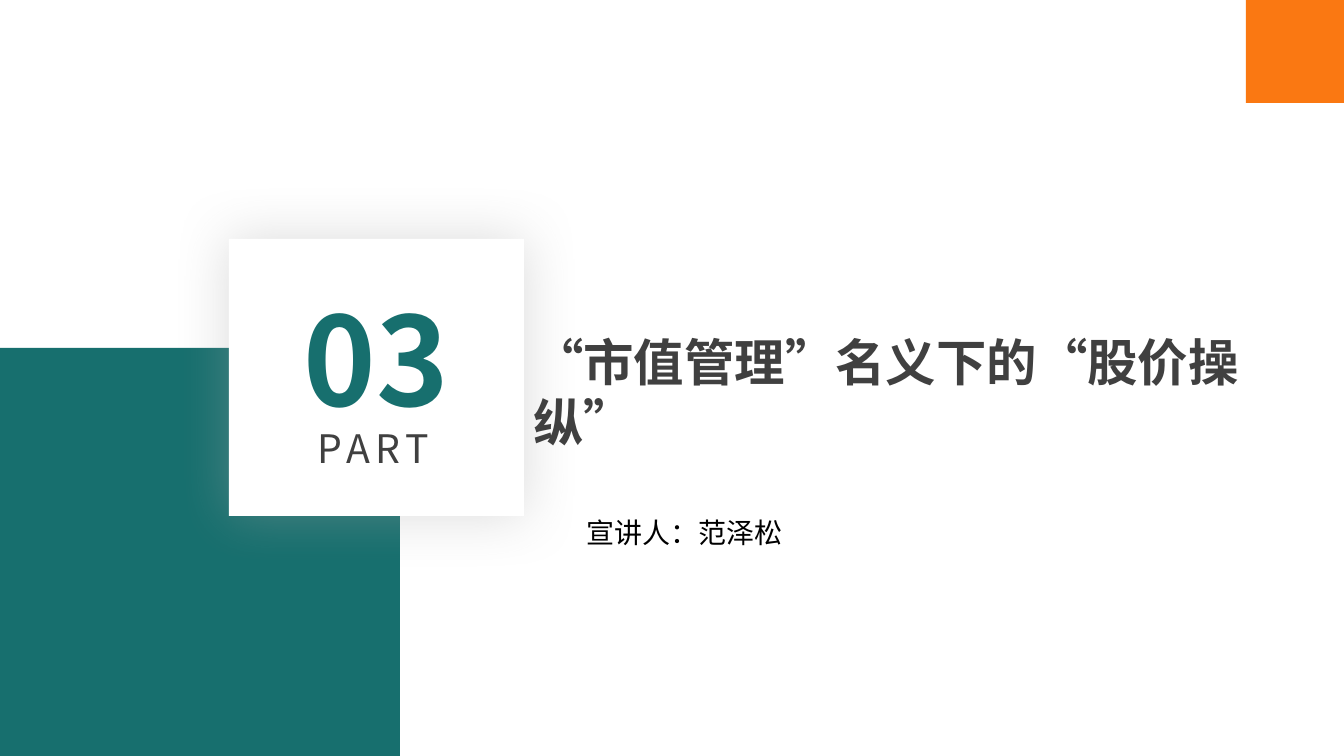
from lxml import etree
from pptx import Presentation
from pptx.dml.color import RGBColor
from pptx.enum.shapes import MSO_SHAPE
from pptx.enum.text import MSO_ANCHOR, MSO_AUTO_SIZE, PP_ALIGN
from pptx.oxml.ns import qn
from pptx.util import Emu, Pt

RECT = MSO_SHAPE.RECTANGLE
TOP = MSO_ANCHOR.TOP
FIT = MSO_AUTO_SIZE.SHAPE_TO_FIT_TEXT
LEFT = PP_ALIGN.LEFT
JUSTIFY = PP_ALIGN.JUSTIFY

WIDTH, HEIGHT = 1344, 756
SCALE = 12192000 / WIDTH
TEAL, ORANGE, WHITE = "176F6E", "FA7812", "FFFFFF"
GREY, BLACK, SHADE = "404040", "000000", "A6A6A6"
SANS, SANS_JP = "Noto Sans CJK SC", "Noto Sans CJK JP"


def px(n):
    return Emu(round(n * SCALE))


def color(value):
    return RGBColor.from_string(value)


class SlideBuilder:
    def __init__(self, s):
        self.s = s

    def rect(self, x, y, w, h, fill):
        sp = self.s.shapes.add_shape(RECT, px(x), px(y), px(w), px(h))
        sp.shadow.inherit = False
        sp.fill.solid()
        sp.fill.fore_color.rgb = color(fill)
        sp.line.fill.background()
        return sp

    def glow(self, sp, shade, blur, opacity):
        effects = sp._element.spPr.find(qn("a:effectLst"))
        shadow = etree.SubElement(effects, qn("a:outerShdw"), blurRad=str(Pt(blur)),
                                  dist="0", dir="0", algn="ctr", rotWithShape="0")
        clr = etree.SubElement(shadow, qn("a:srgbClr"), val=shade)
        etree.SubElement(clr, qn("a:alpha"), val=str(opacity * 1000))

    def textbox(self, x, y, w, h, text, **style):
        sp = self.s.shapes.add_textbox(px(x), px(y), px(w), px(h))
        self.fill_text(sp, text, **style)

    def placeholder(self, sp, x, y, w, h, text, **style):
        sp.left, sp.top, sp.width, sp.height = px(x), px(y), px(w), px(h)
        self.s.shapes._spTree.append(sp._element)
        self.fill_text(sp, text, **style)

    def fill_text(self, sp, text, size, fill, font=SANS, bold=False, align=LEFT,
                  leading=1.2, spacing=0, wrap=True):
        tf = sp.text_frame
        tf.word_wrap = wrap
        tf.auto_size = FIT
        tf.vertical_anchor = TOP
        p = tf.paragraphs[0]
        p.alignment = align
        p.space_before = Pt(0)
        p.line_spacing = Pt(size * leading)
        r = p.add_run()
        r.text = text
        r.font.size = Pt(size)
        r.font.bold = bold
        r.font.name = font
        r.font.color.rgb = color(fill)
        rPr = r._r.get_or_add_rPr()
        rPr.set("lang", "zh-CN")
        if spacing:
            rPr.set("spc", str(spacing * 100))
        ea = etree.Element(qn("a:ea"), typeface=font)
        rPr.find(qn("a:latin")).addnext(ea)


def main():
    prs = Presentation()
    prs.slide_width, prs.slide_height = px(WIDTH), px(HEIGHT)
    s = prs.slides.add_slide(prs.slide_layouts[0])
    b = SlideBuilder(s)

    b.rect(0, 348, 400, 408, TEAL)
    card = b.rect(229, 239, 295, 277, WHITE)
    b.glow(card, SHADE, 40, 40)
    b.rect(1246, 0, 98, 103, ORANGE)

    b.textbox(294, 278, 173, 159, "03", size=88, fill=TEAL, bold=True, wrap=False)
    b.textbox(308, 419, 150, 57, "PART", size=28, fill=GREY, align=JUSTIFY, spacing=4)
    b.placeholder(s.shapes.title, 523, 326, 811, 131, "“市值管理”名义下的“股价操纵”",
                  size=36, fill=GREY, font=SANS_JP, bold=True)
    b.placeholder(s.placeholders[1], 576, 502, 540, 53, "宣讲人：范泽松",
                  size=20, fill=BLACK, leading=1.5)

    prs.save("out.pptx")


if __name__ == "__main__":
    main()
